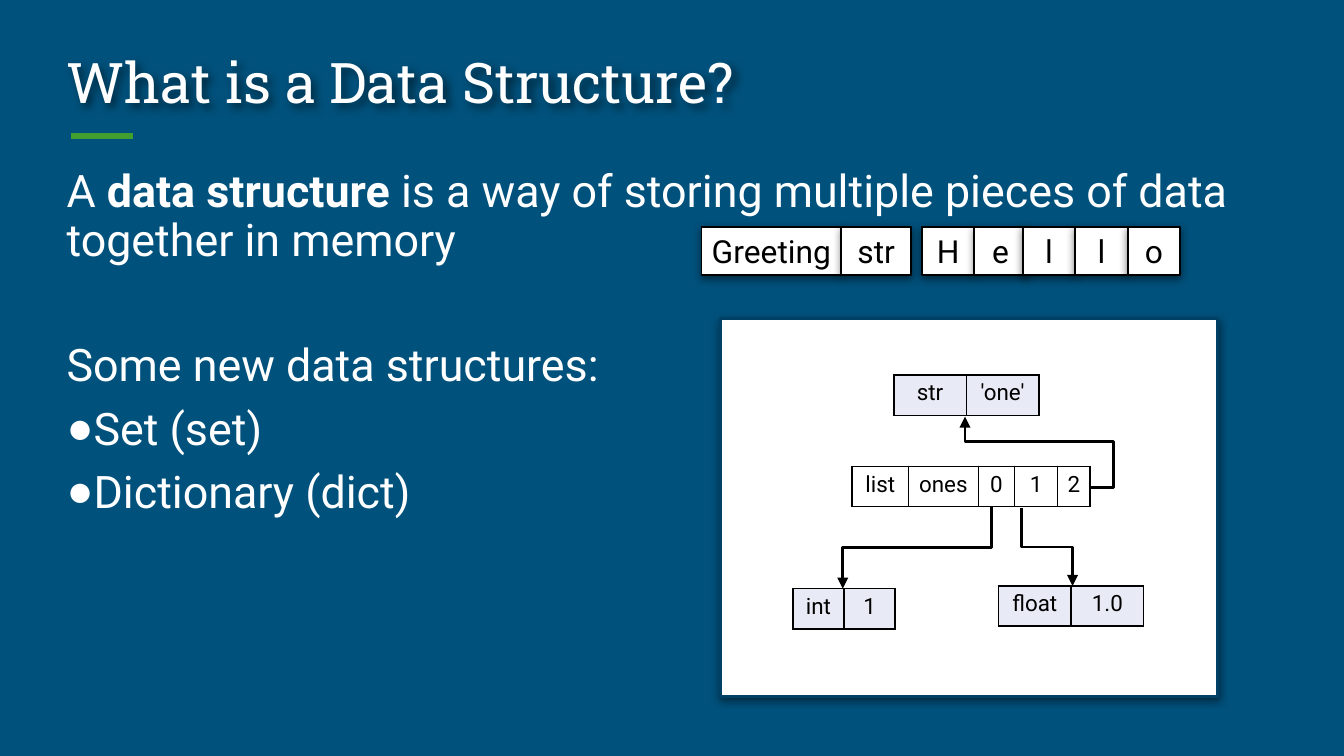
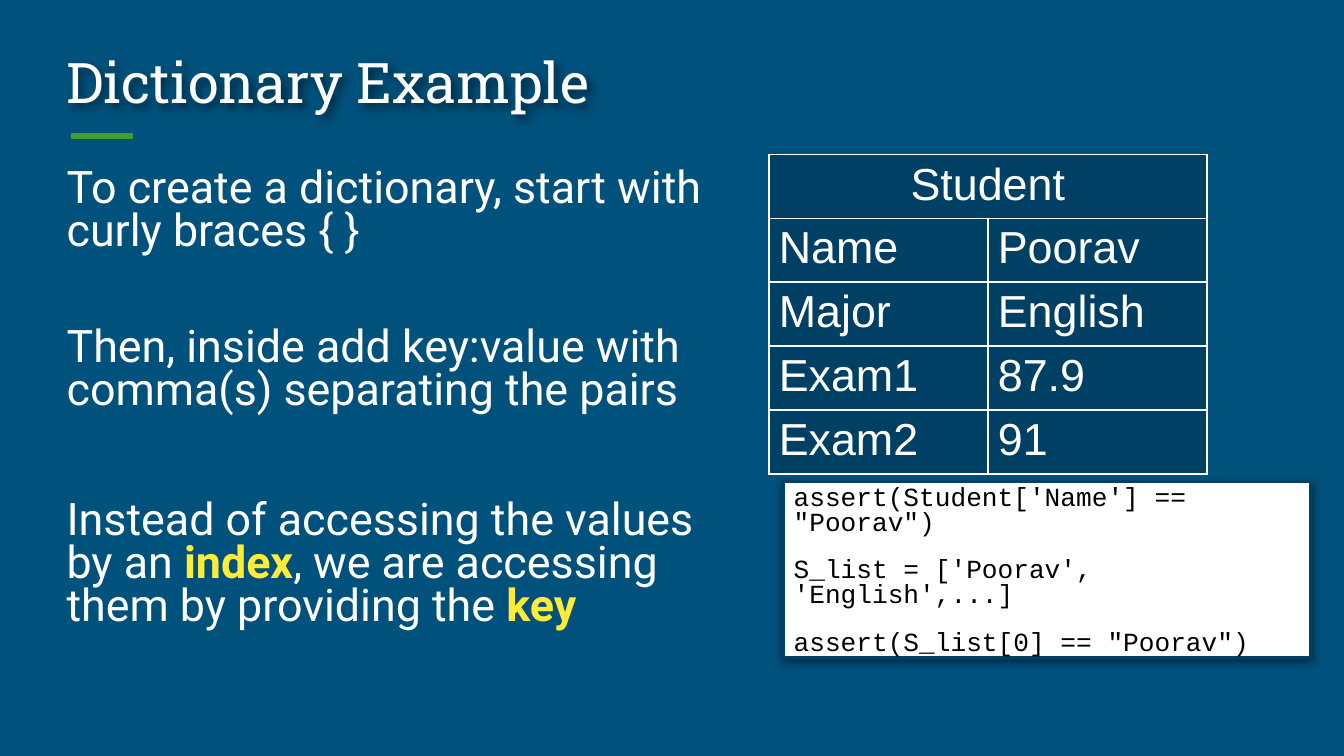
from dataclasses import dataclass

from lxml.etree import SubElement
from pptx import Presentation
from pptx.dml.color import RGBColor
from pptx.enum.shapes import MSO_CONNECTOR as Connector, MSO_SHAPE as Preset
from pptx.enum.text import MSO_ANCHOR as Anchor, PP_ALIGN as Align
from pptx.oxml.ns import qn
from pptx.util import Inches, Pt

NAVY, DARK_NAVY, GREEN = "00517C", "004065", "419E2F"
WHITE, BLACK, YELLOW, LAVENDER = "FFFFFF", "000000", "FFEB38", "E8EBF5"
SIDE_INSET, END_INSET = Pt(5.4), Pt(2.7)


@dataclass(frozen=True)
class Style:
    font: str
    size: float
    color: str
    align: Align = Align.LEFT
    spacing: float = 1.0


@dataclass(frozen=True)
class Span:
    text: str
    color: str = ""
    bold: bool = False


@dataclass(frozen=True)
class Para:
    spans: tuple[Span, ...]
    before: float = 0
    bullet: bool = False


@dataclass(frozen=True)
class Area:
    left: float
    top: float
    width: float
    height: float

    def lengths(self) -> list[Inches]:
        return [Inches(v) for v in (self.left, self.top, self.width, self.height)]


@dataclass(frozen=True)
class Grid:
    left: float
    top: float
    widths: tuple[float, ...]
    rows: tuple[tuple[str, ...], ...]
    fill: str
    border: str
    row_height: float = 0.3


@dataclass(frozen=True)
class Elbow:
    """An arrow given by its unrotated frame, its turn and its bend positions."""
    frame: Area
    rotation: int
    bends: tuple[float, ...]
    flipped: bool = False


TITLE = Style("Roboto Slab", 30, WHITE, spacing=0.9)
BODY = Style("Roboto", 24, WHITE, spacing=0.9)
TIGHT_BODY = Style("Roboto", 24, WHITE, spacing=0.8)
MEMORY_CELL = Style("Roboto", 17, BLACK, Align.CENTER)
DIAGRAM_CELL = Style("Roboto", 12, BLACK, Align.CENTER)
STUDENT_CELL = Style("Arial", 24, WHITE)
CODE = Style("Courier New", 14, BLACK, spacing=0.8)


def rgb(color: str) -> RGBColor:
    return RGBColor.from_string(color)


def plain(text: str, before: float = 0, bullet: bool = False) -> Para:
    return Para((Span(text),), before, bullet)


def add_bullet(para) -> None:
    properties = para._p.get_or_add_pPr()
    properties.set("marL", str(Inches(0.19)))
    properties.set("indent", str(Inches(-0.19)))
    color = SubElement(properties, qn("a:buClr"))
    SubElement(color, qn("a:srgbClr"), val=WHITE)
    SubElement(properties, qn("a:buFont"), typeface="Arial")
    SubElement(properties, qn("a:buChar"), char="●")


def write(frame, paras: list[Para], style: Style) -> None:
    for index, item in enumerate(paras):
        para = frame.paragraphs[0] if index == 0 else frame.add_paragraph()
        if item.bullet:
            add_bullet(para)
        para.alignment = style.align
        para.line_spacing = style.spacing
        if item.before:
            para.space_before = Pt(item.before)
        for span in item.spans:
            run = para.add_run()
            run.text = span.text
            run.font.name = style.font
            run.font.size = Pt(style.size)
            run.font.bold = span.bold
            run.font.color.rgb = rgb(span.color or style.color)


def set_insets(holder) -> None:
    """Set the margins of a text frame or a table cell."""
    holder.margin_left = holder.margin_right = SIDE_INSET
    holder.margin_top = holder.margin_bottom = END_INSET


def set_frame(frame, anchor: Anchor) -> None:
    frame.word_wrap = True
    frame.vertical_anchor = anchor
    set_insets(frame)


def cast_shadow(shape, distance: float = 1.5, degrees: int = 90) -> None:
    shape.shadow.inherit = False
    effects = shape._element.spPr.find(qn("a:effectLst"))
    shadow = SubElement(effects, qn("a:outerShdw"), blurRad=str(Pt(4.5)),
                        dist=str(Pt(distance)), dir=str(degrees * 60000),
                        algn="t", rotWithShape="0")
    color = SubElement(shadow, qn("a:srgbClr"), val=BLACK)
    SubElement(color, qn("a:alpha"), val="50000")


def add_text(slide, area: Area, paras: list[Para], style: Style,
             anchor: Anchor = Anchor.TOP):
    box = slide.shapes.add_textbox(*area.lengths())
    set_frame(box.text_frame, anchor)
    write(box.text_frame, paras, style)
    return box


def add_card(slide, area: Area, line: str, line_width: float, style: Style,
             paras: list[Para], anchor: Anchor = Anchor.MIDDLE) -> None:
    """Draw a white rectangle with a soft shadow and optional text."""
    card = slide.shapes.add_shape(Preset.RECTANGLE, *area.lengths())
    card.fill.solid()
    card.fill.fore_color.rgb = rgb(WHITE)
    card.line.color.rgb = rgb(line)
    card.line.width = Pt(line_width)
    cast_shadow(card)
    set_frame(card.text_frame, anchor)
    write(card.text_frame, paras, style)


def style_connector(connector, color: str, width: float) -> None:
    connector.line.color.rgb = rgb(color)
    connector.line.width = Pt(width)
    SubElement(connector._element.spPr, qn("a:effectLst"))


def add_elbow(slide, elbow: Elbow) -> None:
    left, top, width, height = elbow.frame.lengths()
    connector = slide.shapes.add_connector(
        Connector.ELBOW, left, top, left + width, top + height)
    style_connector(connector, BLACK, 1.5)
    properties = connector._element.spPr
    transform = properties.find(qn("a:xfrm"))
    transform.set("rot", str(elbow.rotation * 60000))
    if elbow.flipped:
        transform.set("flipH", "1")
    geometry = properties.find(qn("a:prstGeom"))
    geometry.set("prst", f"bentConnector{len(elbow.bends) + 2}")
    guides = geometry.find(qn("a:avLst"))
    if guides is None:
        guides = SubElement(geometry, qn("a:avLst"))
    for number, bend in enumerate(elbow.bends, 1):
        SubElement(guides, qn("a:gd"), name=f"adj{number}",
                   fmla=f"val {round(bend * 100000)}")
    SubElement(properties.find(qn("a:ln")), qn("a:tailEnd"), type="triangle")


def set_borders(cell, color: str) -> None:
    properties = cell._tc.get_or_add_tcPr()
    for side in ("lnL", "lnR", "lnT", "lnB"):
        line = SubElement(properties, qn(f"a:{side}"), w=str(Pt(1)))
        fill = SubElement(line, qn("a:solidFill"))
        SubElement(fill, qn("a:srgbClr"), val=color)


def add_grid(slide, grid: Grid, style: Style):
    area = Area(grid.left, grid.top, sum(grid.widths),
                grid.row_height * len(grid.rows))
    table = slide.shapes.add_table(
        len(grid.rows), len(grid.widths), *area.lengths()).table
    table.first_row = table.horz_banding = False
    for column, width in zip(table.columns, grid.widths):
        column.width = Inches(width)
    for row, texts in enumerate(grid.rows):
        table.rows[row].height = Inches(grid.row_height)
        for column in range(len(grid.widths)):
            cell = table.cell(row, column)
            set_borders(cell, grid.border)
            cell.fill.solid()
            cell.fill.fore_color.rgb = rgb(grid.fill)
            set_insets(cell)
            if column < len(texts):
                write(cell.text_frame, [plain(texts[column])], style)
    return table


def add_page(deck, title: str):
    """Add a slide with the shared background, title and green rule."""
    page = deck.slides.add_slide(deck.slide_layouts[6])
    page.background.fill.solid()
    page.background.fill.fore_color.rgb = rgb(NAVY)
    rule = page.shapes.add_connector(
        Connector.STRAIGHT, Inches(0.53), Inches(1.01), Inches(0.99), Inches(1.01))
    style_connector(rule, GREEN, 3)
    box = add_text(page, Area(0.42, 0.26, 9.15, 0.75), [plain(title)], TITLE,
                   Anchor.MIDDLE)
    cast_shadow(box, distance=3, degrees=45)
    return page


def build_structure_page(deck) -> None:
    page = add_page(deck, "What is a Data Structure?")
    definition = Para((
        Span("A "), Span("data structure ", bold=True),
        Span("is a way of storing multiple pieces of data together in memory")))
    add_text(page, Area(0.42, 1.22, 9.15, 3.77), [
        definition,
        plain("Some new data structures:", before=41.5),
        plain("Set (set)", before=8, bullet=True),
        plain("Dictionary (dict)", before=8, bullet=True),
    ], BODY)

    memory_cells = [("Greeting", 5.22, 1.04), ("str", 6.26, 0.52)]
    letter_lefts = (6.86, 7.25, 7.61, 8, 8.39)
    memory_cells += [(letter, left, 0.39)
                     for letter, left in zip("Hello", letter_lefts)]
    for text, left, width in memory_cells:
        add_card(page, Area(left, 1.69, width, 0.36), BLACK, 1, MEMORY_CELL,
                 [plain(text)])

    add_card(page, Area(5.36, 2.37, 3.7, 2.81), DARK_NAVY, 1.5, DIAGRAM_CELL, [])
    add_grid(page, Grid(6.34, 3.47, (0.42, 0.52, 0.27, 0.32, 0.24),
                        (("list", "ones", "0", "1", "2"),), WHITE, BLACK),
             DIAGRAM_CELL)
    for left, top, width, texts in (
            (5.9, 4.38, 0.38, ("int", "1")),
            (7.43, 4.36, 0.54, ("float", "1.0")),
            (6.65, 2.79, 0.54, ("str", "'one'"))):
        add_grid(page, Grid(left, top, (width, width), (texts,), LAVENDER, BLACK),
                 DIAGRAM_CELL)
    for elbow in (
            Elbow(Area(6.52, 3.52, 0.61, 1.11), 90, (0.5,)),
            Elbow(Area(7.5, 3.88, 0.58, 0.38), 270, (0.5,), flipped=True),
            Elbow(Area(7.18, 3.1, 0.92, 0.53), 180, (-0.2, 0.65))):
        add_elbow(page, elbow)


def build_dictionary_page(deck) -> None:
    page = add_page(deck, "Dictionary Example")
    access = Para((
        Span("Instead of accessing the values by an "),
        Span("index", YELLOW, bold=True),
        Span(", we are accessing them by providing the "),
        Span("key", YELLOW, bold=True)), before=47)
    add_text(page, Area(0.42, 1.22, 5.01, 3.77), [
        plain("To create a dictionary, start with curly braces { }"),
        plain("Then, inside add key:value with comma(s) separating the pairs",
              before=39),
        access,
    ], TIGHT_BODY)

    student = (("Student",), ("Name", "Poorav"), ("Major", "English"),
               ("Exam1", "87.9"), ("Exam2", "91"))
    table = add_grid(page, Grid(5.72, 1.15, (1.63, 1.63), student,
                                DARK_NAVY, WHITE), STUDENT_CELL)
    header = table.cell(0, 0)
    header.merge(table.cell(0, 1))
    header.text_frame.paragraphs[0].alignment = Align.CENTER

    add_card(page, Area(5.83, 3.58, 3.92, 1.31), DARK_NAVY, 1.5, CODE, [
        plain("assert(Student['Name'] == \"Poorav\")"),
        plain("S_list = ['Poorav', 'English',...]", before=12),
        plain("assert(S_list[0] == \"Poorav\")", before=12),
    ], Anchor.TOP)


def main() -> None:
    deck = Presentation()
    deck.slide_width = Inches(10)
    deck.slide_height = Inches(10 * 9 / 16)
    build_structure_page(deck)
    build_dictionary_page(deck)
    deck.save("out.pptx")


if __name__ == "__main__":
    main()
